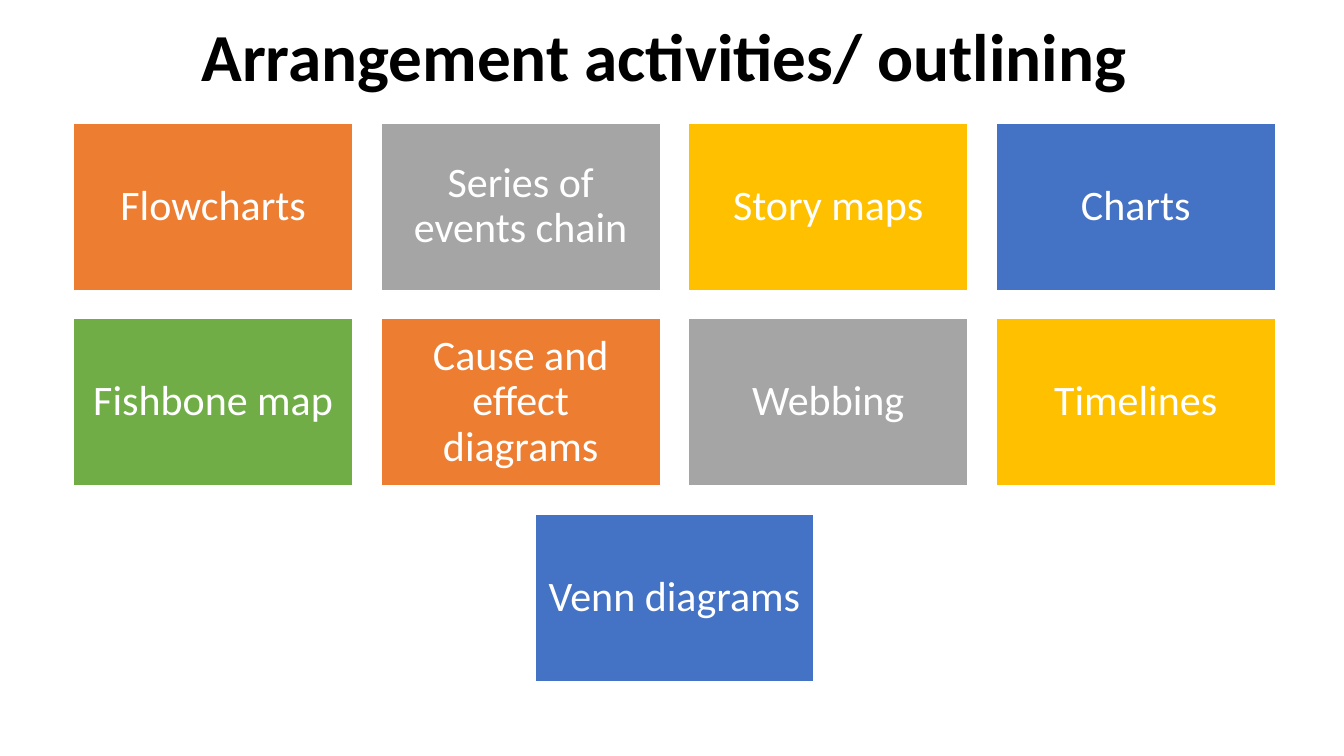
from dataclasses import dataclass

from pptx import Presentation
from pptx.dml.color import RGBColor
from pptx.enum.shapes import MSO_SHAPE as Form
from pptx.enum.text import MSO_ANCHOR as Anchor, MSO_AUTO_SIZE as Fit, PP_ALIGN as Align
from pptx.util import Inches, Pt

COLS = 4
LEFT, TOP = 0.73, 1.22
WIDE, HIGH = 2.77, 1.66
STEP_X, STEP_Y = 3.05, 1.94
INSET = 0.12
HUES = ["ED7D31", "A5A5A5", "FFC000", "4472C4", "70AD47"]
NAMES = [
    "Flowcharts", "Series of events chain", "Story maps", "Charts",
    "Fishbone map", "Cause and effect diagrams", "Webbing", "Timelines",
    "Venn diagrams",
]


@dataclass
class Tile:
    name: str
    hue: str
    left: float
    top: float


def paint(target, hue: str) -> None:
    target.rgb = RGBColor.from_string(hue)


def style(frame, size: int, hue: str, bold: bool = False) -> None:
    frame.word_wrap = True
    frame.auto_size = Fit.NONE
    frame.vertical_anchor = Anchor.MIDDLE
    para = frame.paragraphs[0]
    para.alignment = Align.CENTER
    para.line_spacing = 0.9
    font = para.font
    font.name, font.size, font.bold = "Calibri", Pt(size), bold
    paint(font.color, hue)


def plan() -> list[Tile]:
    tiles = []
    for i, name in enumerate(NAMES):
        row, col = divmod(i, COLS)
        count = min(COLS, len(NAMES) - row * COLS)
        shift = (COLS - count) / 2
        tiles.append(Tile(name, HUES[i % len(HUES)],
                          LEFT + (col + shift) * STEP_X, TOP + row * STEP_Y))
    return tiles


def draw(slide, tile: Tile) -> None:
    box = slide.shapes.add_shape(Form.RECTANGLE, Inches(tile.left), Inches(tile.top),
                                 Inches(WIDE), Inches(HIGH))
    box.shadow.inherit = False
    box.fill.solid()
    paint(box.fill.fore_color, tile.hue)
    paint(box.line.color, "FFFFFF")
    box.line.width = Pt(1)
    frame = box.text_frame
    frame.margin_left = frame.margin_right = Inches(INSET)
    frame.margin_top = frame.margin_bottom = Inches(INSET)
    frame.text = tile.name
    style(frame, 30, "FFFFFF")


def main() -> None:
    deck = Presentation()
    deck.slide_width, deck.slide_height = Inches(13.33), Inches(7.5)
    slide = deck.slides.add_slide(deck.slide_layouts[5])
    title = slide.shapes.title
    title.left, title.top = Inches(0.91), Inches(0.12)
    title.width, title.height = Inches(11.51), Inches(0.95)
    title.text_frame.text = "Arrangement activities/ outlining "
    style(title.text_frame, 48, "000000", True)
    for tile in plan():
        draw(slide, tile)
    deck.save("out.pptx")


if __name__ == "__main__":
    main()
